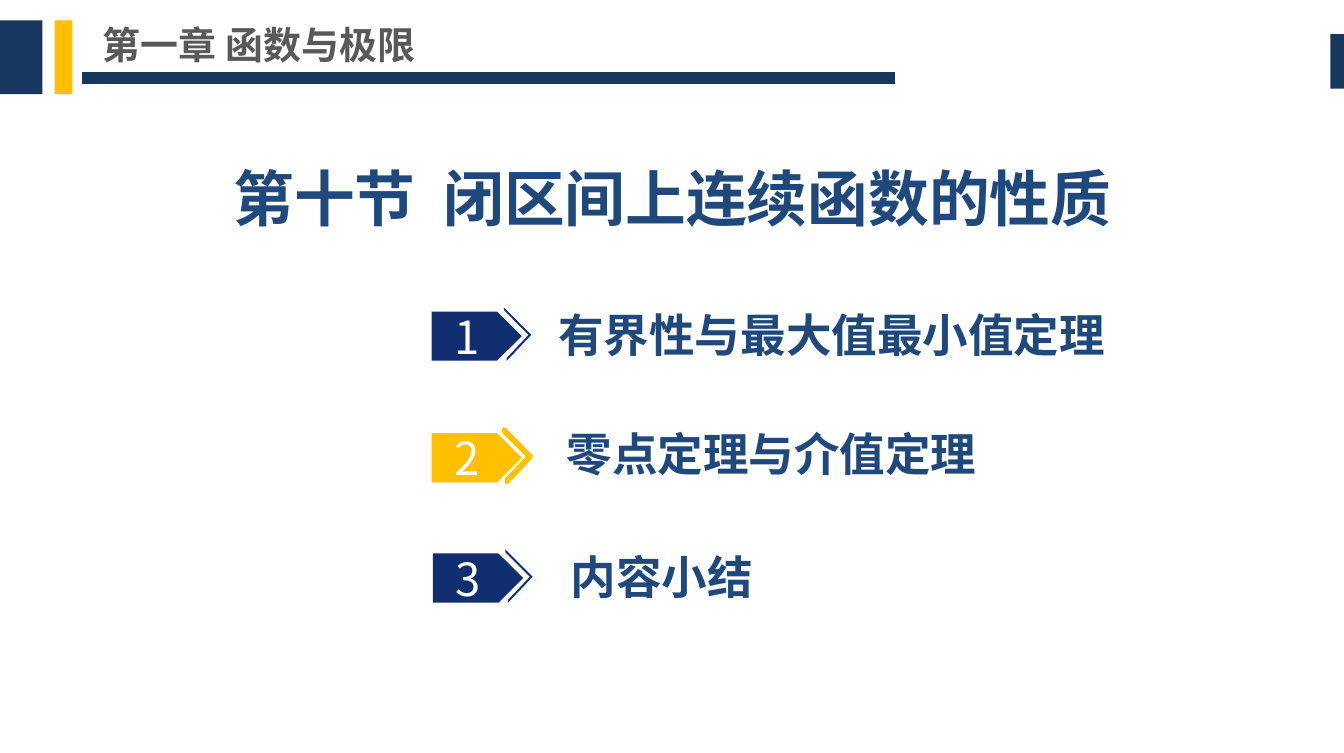
from lxml.etree import SubElement
from pptx import Presentation
from pptx.dml.color import RGBColor
from pptx.enum.shapes import MSO_CONNECTOR, MSO_SHAPE
from pptx.enum.text import MSO_ANCHOR, PP_ALIGN
from pptx.oxml.ns import qn
from pptx.util import Inches, Pt

FONT = "Noto Sans CJK SC"
NAVY, GOLD, BLUE, TITLE_BLUE = "17375E", "FFC000", "112F70", "1F497D"


def rgb(value):
    return RGBColor.from_string(value)


def add_text(at, runs, size, color, bold=True, wrap=True):
    """Add a text box from (text, letter spacing in points) runs."""
    tf = s.shapes.add_textbox(*[Inches(v) for v in at]).text_frame
    tf.word_wrap = wrap
    p = tf.paragraphs[0]
    for text, spacing in runs:
        r = p.add_run()
        r.text = text
        r.font.size = Pt(size)
        r.font.bold = bold
        r.font.color.rgb = rgb(color)
        r.font.name = FONT
        rPr = r._r.get_or_add_rPr()
        SubElement(rPr, qn("a:ea")).set("typeface", FONT)
        if spacing:
            rPr.set("spc", str(int(spacing * 100)))
    return tf


prs = Presentation()
prs.slide_width, prs.slide_height = Inches(9.84), Inches(5.51)
s = prs.slides.add_slide(prs.slide_layouts[6])

# Header bars and rule
for x, y, w, h, color in [
    (-0.01, 0.15, 0.32, 0.54, NAVY),
    (0.4, 0.15, 0.13, 0.54, GOLD),
    (9.74, 0.25, 0.15, 0.4, NAVY),
]:
    sp = s.shapes.add_shape(MSO_SHAPE.RECTANGLE, Inches(x), Inches(y), Inches(w), Inches(h))
    sp.shadow.inherit = False
    sp.fill.solid()
    sp.fill.fore_color.rgb = rgb(color)
    sp.line.fill.background()

rule = s.shapes.add_connector(
    MSO_CONNECTOR.STRAIGHT, Inches(6.55), Inches(0.57), Inches(0.6), Inches(0.57))
rule.line.color.rgb = rgb(NAVY)
rule.line.width = Pt(6)
SubElement(rule._element.spPr, qn("a:effectLst"))

# Chapter and section titles
tf = add_text((0.75, 0.16, 6.25, 0.33), [("第一章 函数与极限", 0)], 20, "595959")
tf.margin_left = tf.margin_right = tf.margin_top = tf.margin_bottom = 0
tf.vertical_anchor = MSO_ANCHOR.MIDDLE

tf = add_text((1.39, 1.13, 7.07, 0.68),
              [("第十节", 0), (" ", 7.2), ("闭区间上连续函数的性质", 0)], 32, TITLE_BLUE)
tf.paragraphs[0].alignment = PP_ALIGN.CENTER

# Numbered contents, with outlines measured from each tag's top left corner
TAG = [(0, 0), (0.48, 0), (0.66, 0.18), (0.48, 0.36), (0, 0.36)]
CHEVRON = [(0.53, -0.03), (0.73, 0.17), (0.55, 0.36), (0.55, 0.34), (0.71, 0.17), (0.53, -0.01)]
for number, (title, x, y, title_x, title_y, title_w, color) in enumerate([
    ("有界性与最大值最小值定理", 3.16, 2.28, 3.99, 2.2, 4.2, BLUE),
    ("零点定理与介值定理", 3.16, 3.17, 4.05, 3.07, 3.2, GOLD),
    ("内容小结", 3.17, 4.05, 4.08, 3.97, 1.53, BLUE),
], start=1):
    add_text((title_x, title_y, title_w, 0.5), [(title, 0)], 24, TITLE_BLUE, wrap=False)
    for outline, fill in [(CHEVRON, BLUE), (TAG, color)]:
        points = [(Inches(x + dx), Inches(y + dy)) for dx, dy in outline]
        builder = s.shapes.build_freeform(*points[0])
        builder.add_line_segments(points[1:], close=True)
        sp = builder.convert_to_shape()
        sp.shadow.inherit = False
        sp.fill.solid()
        sp.fill.fore_color.rgb = rgb(fill)
        if outline is CHEVRON and color == GOLD:
            sp.line.color.rgb = rgb(GOLD)
            sp.line.width = Pt(2)
        else:
            sp.line.fill.background()
    add_text((x + 0.07, y - 0.07, 0.57, 0.5), [(str(number), 0)], 24, "FFFFFF", bold=False)

prs.save("out.pptx")
